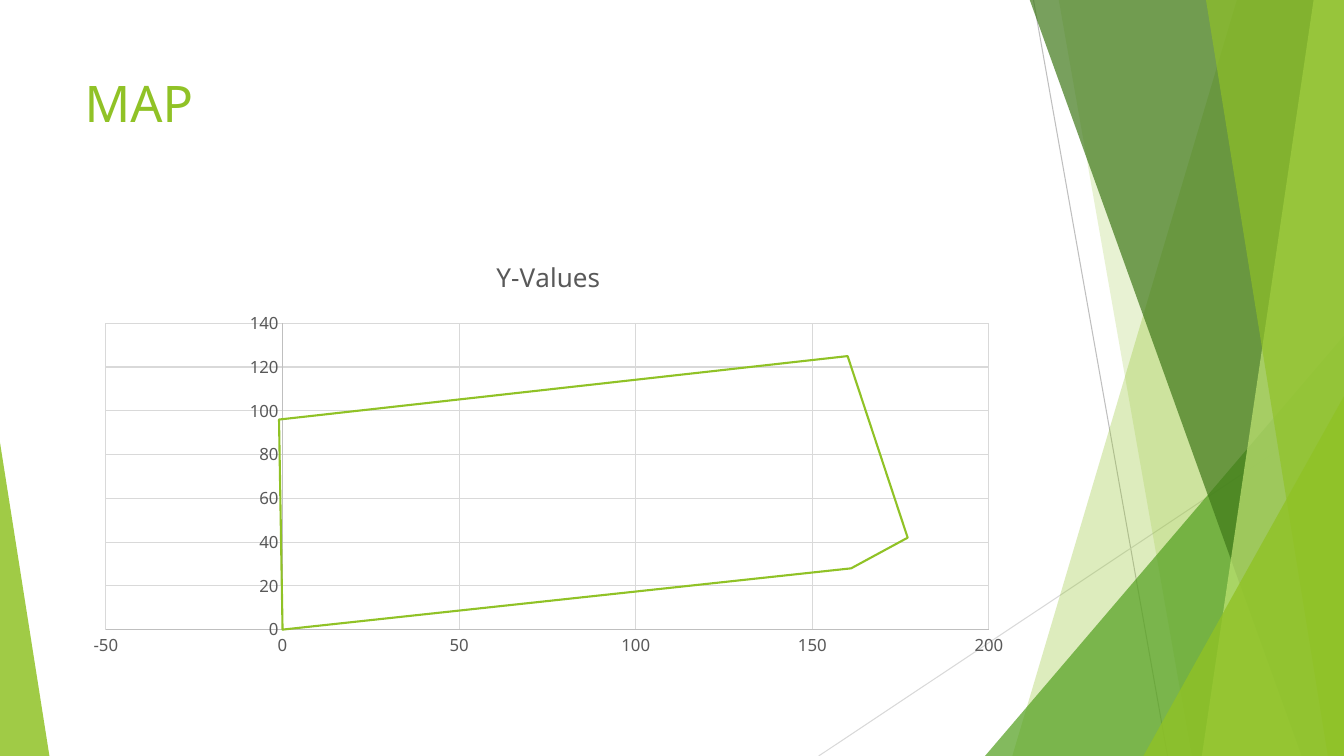
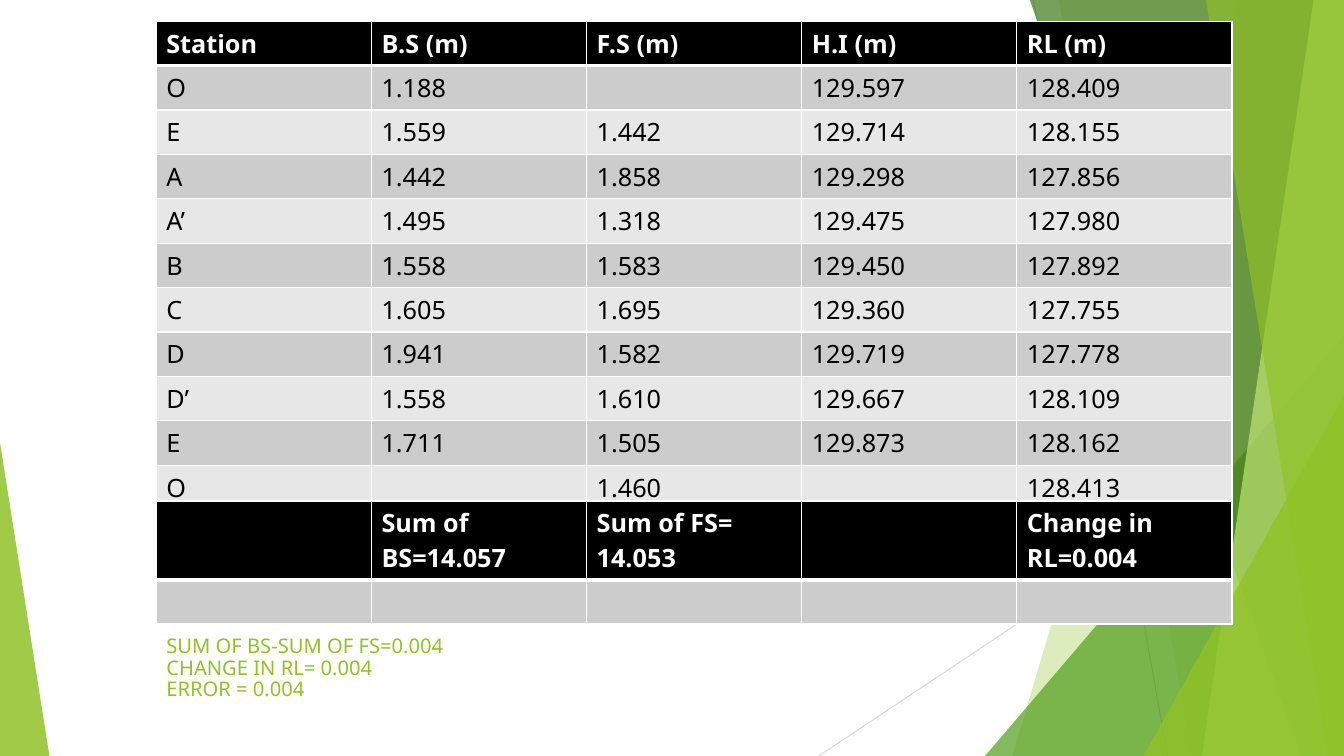
from lxml.etree import SubElement
from pptx import Presentation
from pptx.chart.data import XyChartData
from pptx.dml.color import RGBColor
from pptx.enum.chart import XL_CHART_TYPE as ChartType, XL_TICK_MARK as TickMark
from pptx.enum.shapes import MSO_CONNECTOR as Connector, MSO_SHAPE as Preset
from pptx.enum.text import MSO_ANCHOR as Anchor, MSO_AUTO_SIZE as AutoSize, PP_ALIGN as Align
from pptx.oxml.ns import qn
from pptx.util import Inches, Pt

FONT = "Noto Sans"
WIDTH, HEIGHT = 13.33, 7.5
TOP = -0.01
COLORS = {
    "lime": "90C226", "green": "54A021", "forest": "3F7819", "pale": "C0E474",
    "white": "FFFFFF", "black": "000000", "band_dark": "CCCCCC", "band_light": "E7E7E7",
    "axis": "BFBFBF", "grid": "D9D9D9", "chart_text": "595959",
}

LEVELS = [
    ("Station", "B.S (m)", "F.S (m)", "H.I (m)", "RL (m)"),
    ("O", "1.188", "", "129.597", "128.409"),
    ("E", "1.559", "1.442", "129.714", "128.155"),
    ("A", "1.442", "1.858", "129.298", "127.856"),
    ("A’", "1.495", "1.318", "129.475", "127.980"),
    ("B", "1.558", "1.583", "129.450", "127.892"),
    ("C", "1.605", "1.695", "129.360", "127.755"),
    ("D", "1.941", "1.582", "129.719", "127.778"),
    ("D’", "1.558", "1.610", "129.667", "128.109"),
    ("E", "1.711", "1.505", "129.873", "128.162"),
    ("O", "", "1.460", "", "128.413"),
]
TOTALS = [
    ("", "Sum of BS=14.057", "Sum of FS= 14.053", "", "Change in RL=0.004"),
    ("",) * 5,
]
BOUNDARY = [(-1, 96), (160, 125), (177, 42), (161, 28), (0, 0), (-1, 96)]


def rgb(name):
    return RGBColor.from_string(COLORS[name])


def inches(*lengths):
    return [Inches(length) for length in lengths]


def style_font(font, size, color, bold=False):
    font.name = FONT
    font.size = Pt(size)
    font.bold = bold
    font.color.rgb = rgb(color)


def style_line(line, color, width=0.75):
    line.color.rgb = rgb(color)
    line.width = Pt(width)


def fill_facet(shape, color, opacity):
    shape.shadow.inherit = False
    shape.fill.solid()
    shape.fill.fore_color.rgb = rgb(color)
    color_element = shape._element.spPr.find(".//" + qn("a:srgbClr"))
    SubElement(color_element, qn("a:alpha"), val=str(opacity * 1000))
    shape.line.fill.background()


def add_thin_line(shapes, start, end, color):
    connector = shapes.add_connector(Connector.STRAIGHT, *inches(*start, *end))
    style_line(connector.line, color)
    SubElement(connector._element.spPr, qn("a:effectLst"))


def add_shard(shapes, top_left, bottom_left, color, opacity):
    """Draw a full-height facet that reaches the right edge of the slide."""
    builder = shapes.build_freeform(*inches(top_left, TOP))
    corners = [(WIDTH, TOP), (WIDTH, HEIGHT), (bottom_left, HEIGHT)]
    builder.add_line_segments([inches(*corner) for corner in corners])
    fill_facet(builder.convert_to_shape(), color, opacity)


def add_corner(shapes, left, top, width, apex, color, opacity):
    """Draw a triangle standing on the bottom edge; apex runs from 0 to 1."""
    box = inches(left, top, width, HEIGHT - top)
    triangle = shapes.add_shape(Preset.ISOSCELES_TRIANGLE, *box)
    triangle.adjustments[0] = apex
    fill_facet(triangle, color, opacity)


def decorate_layout(layout, slide):
    """Draw the facets on the slide, then move them to its layout."""
    for placeholder in list(layout.placeholders):
        if placeholder.placeholder_format.idx:
            placeholder._element.getparent().remove(placeholder._element)
    group = slide.shapes.add_group_shape()
    shapes = group.shapes
    add_thin_line(shapes, (10.25, 0), (11.58, HEIGHT), "axis")
    add_thin_line(shapes, (WIDTH, 4.03), (8.12, HEIGHT), "grid")
    add_shard(shapes, 12.27, 10.04, "lime", 30)
    add_shard(shapes, 10.5, 11.82, "lime", 20)
    add_corner(shapes, 9.77, 3.33, 3.56, 1, "green", 72)
    add_shard(shapes, 10.21, 12.91, "forest", 70)
    add_shard(shapes, 13.03, 11.92, "pale", 70)
    add_shard(shapes, 11.96, 13.17, "lime", 65)
    add_corner(shapes, 11.34, 3.93, 1.99, 1, "lime", 80)
    add_corner(shapes, 0, 4.39, 0.49, 0, "lime", 85)
    layout.shapes._spTree.insert(2, group._element)


def set_title(slide, text, box, size, line_spacing=1.0):
    title = slide.shapes.title
    title.left, title.top, title.width, title.height = inches(*box)
    frame = title.text_frame
    frame.text = text
    frame.word_wrap = True
    frame.auto_size = AutoSize.NONE
    frame.vertical_anchor = Anchor.TOP
    paragraph = frame.paragraphs[0]
    paragraph.alignment = Align.LEFT
    paragraph.line_spacing = line_spacing
    for run in paragraph.runs:
        style_font(run.font, size, "lime")


def style_axis(axis, minimum, maximum, step):
    axis.minimum_scale, axis.maximum_scale, axis.major_unit = minimum, maximum, step
    axis.major_tick_mark = axis.minor_tick_mark = TickMark.NONE
    axis.has_major_gridlines = True
    style_line(axis.major_gridlines.format.line, "grid")
    style_line(axis.format.line, "axis")
    style_font(axis.tick_labels.font, 12, "chart_text")


def add_map_chart(slide, points, box):
    data = XyChartData()
    series_data = data.add_series("Y-Values")
    for x, y in points:
        series_data.add_data_point(x, y)
    frame = slide.shapes.add_chart(ChartType.XY_SCATTER_LINES_NO_MARKERS, *inches(*box), data)
    chart = frame.chart
    style_font(chart.font, 10, "black")
    chart.has_legend = False
    chart.has_title = True
    title_frame = chart.chart_title.text_frame
    title_frame.text = "Y-Values"
    style_font(title_frame.paragraphs[0].runs[0].font, 18.6, "chart_text")
    chart.chart_title.include_in_layout = False
    style_axis(chart.category_axis, -50, 200, 50)
    style_axis(chart.value_axis, 0, 140, 20)
    plot = chart.plots[0]
    plot.vary_by_categories = False
    series = plot.series[0]
    series.smooth = False
    style_line(series.format.line, "lime", 1.5)


def set_borders(cell, top, bottom):
    """Give the cell white borders; top and bottom are widths in points."""
    properties = cell._tc.get_or_add_tcPr()
    for side, width in (("L", 1), ("R", 1), ("T", top), ("B", bottom)):
        line = SubElement(properties, qn("a:ln" + side), w=str(Pt(width)))
        fill = SubElement(line, qn("a:solidFill"))
        SubElement(fill, qn("a:srgbClr"), val=COLORS["white"])


def style_cell(cell, text, row):
    is_header = row == 0
    set_borders(cell, top=3 if row == 1 else 1, bottom=3 if is_header else 1)
    cell.fill.solid()
    band = "band_dark" if row % 2 else "band_light"
    cell.fill.fore_color.rgb = rgb("black" if is_header else band)
    cell.text = text
    for run in cell.text_frame.paragraphs[0].runs:
        style_font(run.font, 18, "white" if is_header else "black", is_header)


def add_banded_table(slide, rows, top, row_heights):
    box = inches(1.55, top, 10.67, sum(row_heights))
    table = slide.shapes.add_table(len(rows), len(rows[0]), *box).table
    for row, (texts, height) in enumerate(zip(rows, row_heights)):
        table.rows[row].height = Inches(height)
        for column, text in enumerate(texts):
            style_cell(table.cell(row, column), text, row)


def main():
    presentation = Presentation()
    presentation.slide_width, presentation.slide_height = inches(WIDTH, HEIGHT)
    layout = presentation.slide_layouts.get_by_name("Title Only")

    map_slide = presentation.slides.add_slide(layout)
    decorate_layout(layout, map_slide)
    set_title(map_slide, "MAP", (0.74, 0.67, 9.4, 1.44), 36)
    add_map_chart(map_slide, BOUNDARY, (0.74, 2.36, 9.4, 4.24))

    levels_slide = presentation.slides.add_slide(layout)
    summary = "SUM OF BS-SUM OF FS=0.004\vCHANGE IN RL= 0.004\vERROR = 0.004"
    set_title(levels_slide, summary, (1.55, 6.27, 10.67, 1.34), 14.4, 0.87)
    add_banded_table(levels_slide, LEVELS, 0.21, [0.41] * len(LEVELS))
    add_banded_table(levels_slide, TOTALS, 4.97, [0.67, 0.44])

    presentation.save("out.pptx")


if __name__ == "__main__":
    main()
